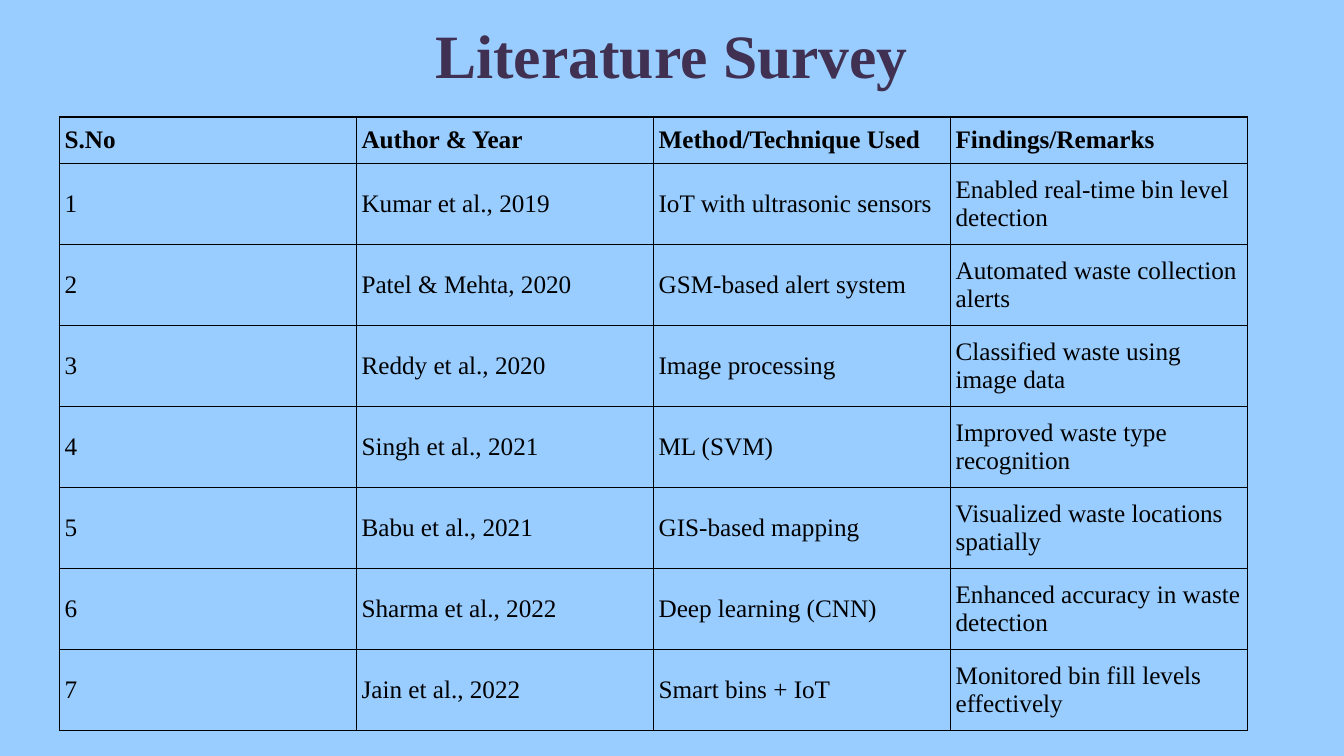
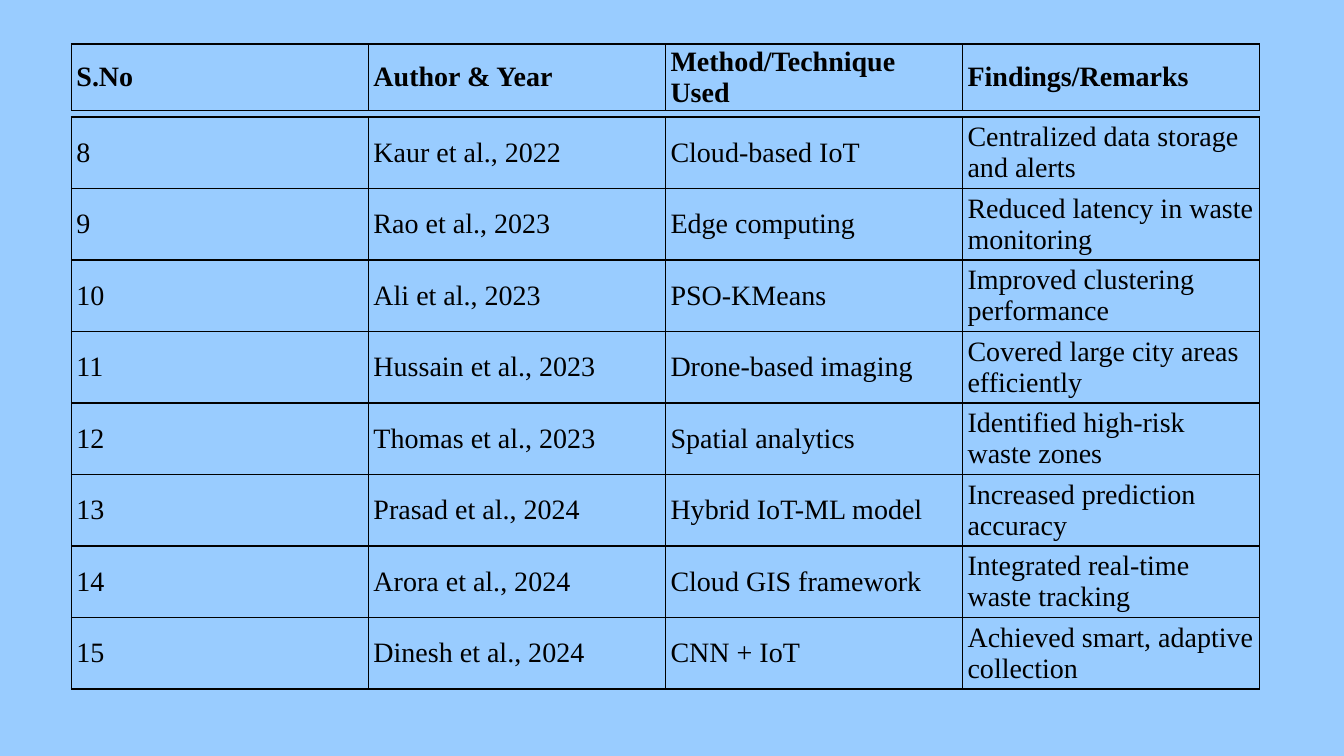
from lxml import etree
from pptx import Presentation
from pptx.dml.color import RGBColor
from pptx.enum import text
from pptx.oxml import ns
from pptx.util import Pt

COLOURS = {"sky": "99CCFF", "plum": "403152", "ink": "000000"}
FONT = "Times New Roman"
COLUMN_WIDTH = 212.2
HEADINGS = ["S.No", "Author & Year", "Method/Technique Used", "Findings/Remarks"]

EARLIER_STUDIES = [
    ["Kumar et al., 2019", "IoT with ultrasonic sensors", "Enabled real-time bin level detection"],
    ["Patel & Mehta, 2020", "GSM-based alert system", "Automated waste collection alerts"],
    ["Reddy et al., 2020", "Image processing", "Classified waste using image data"],
    ["Singh et al., 2021", "ML (SVM)", "Improved waste type recognition"],
    ["Babu et al., 2021", "GIS-based mapping", "Visualized waste locations spatially"],
    ["Sharma et al., 2022", "Deep learning (CNN)", "Enhanced accuracy in waste detection"],
    ["Jain et al., 2022", "Smart bins + IoT", "Monitored bin fill levels effectively"],
]
LATER_STUDIES = [
    ["Kaur et al., 2022", "Cloud-based IoT", "Centralized data storage and alerts"],
    ["Rao et al., 2023", "Edge computing", "Reduced latency in waste monitoring"],
    ["Ali et al., 2023", "PSO-KMeans", "Improved clustering performance"],
    ["Hussain et al., 2023", "Drone-based imaging", "Covered large city areas efficiently"],
    ["Thomas et al., 2023", "Spatial analytics", "Identified high-risk waste zones"],
    ["Prasad et al., 2024", "Hybrid IoT-ML model", "Increased prediction accuracy"],
    ["Arora et al., 2024", "Cloud GIS framework", "Integrated real-time waste tracking"],
    ["Dinesh et al., 2024", "CNN + IoT", "Achieved smart, adaptive collection"],
]


def style_font(font, size, colour, bold):
    font.name = FONT
    font.size = Pt(size)
    font.bold = bold
    font.color.rgb = RGBColor.from_string(COLOURS[colour])


def add_survey(slide, left, top, rows, heights, size):
    """Add a ruled table; a row that holds the headings is bold."""
    survey = slide.shapes.add_table(
        len(rows), len(HEADINGS), Pt(left), Pt(top),
        Pt(COLUMN_WIDTH * len(HEADINGS)), Pt(sum(heights))).table
    survey.first_row = survey.horz_banding = False
    for column in survey.columns:
        column.width = Pt(COLUMN_WIDTH)
    for row, height, entries in zip(survey.rows, heights, rows):
        row.height = Pt(height)
        for cell, entry in zip(row.cells, entries):
            cell.text_frame.text = entry
            style_font(cell.text_frame.paragraphs[0].runs[0].font,
                       size, "ink", entries is HEADINGS)
            cell.vertical_anchor = text.MSO_ANCHOR.MIDDLE
            cell.margin_left = cell.margin_right = Pt(3.6)
            cell.margin_top = cell.margin_bottom = Pt(1.5)
            cell.fill.solid()
            cell.fill.fore_color.rgb = RGBColor.from_string(COLOURS["sky"])
            # Borders come before the fill in the cell properties
            properties = cell._tc.get_or_add_tcPr()
            for position, side in enumerate(["a:lnL", "a:lnR", "a:lnT", "a:lnB"]):
                border = etree.Element(ns.qn(side), w=str(Pt(1)))
                ink = etree.SubElement(border, ns.qn("a:solidFill"))
                etree.SubElement(ink, ns.qn("a:srgbClr"), val=COLOURS["ink"])
                properties.insert(position, border)


# Shared page: size and background
prs = Presentation()
prs.slide_width, prs.slide_height = Pt(960), Pt(540)
page_fill = prs.slide_master.background.fill
page_fill.solid()
page_fill.fore_color.rgb = RGBColor.from_string(COLOURS["sky"])
title_only, blank = prs.slide_layouts[5], prs.slide_layouts[6]

# Number the studies through both slides
numbered = [[str(number), *study]
            for number, study in enumerate(EARLIER_STUDIES + LATER_STUDIES, 1)]
split = len(EARLIER_STUDIES)
earlier, later = numbered[:split], numbered[split:]

# Slide 1: title and earlier studies
slide = prs.slides.add_slide(title_only)
heading = slide.shapes.title
heading.left, heading.top, heading.width, heading.height = Pt(48), Pt(-6.5), Pt(864), Pt(90)
heading.text_frame.text = "Literature Survey"
heading.text_frame.vertical_anchor = text.MSO_ANCHOR.MIDDLE
title_line = heading.text_frame.paragraphs[0]
title_line.alignment = text.PP_ALIGN.CENTER
style_font(title_line.runs[0].font, 44, "plum", True)
add_survey(slide, 42.5, 83.5, [HEADINGS] + earlier, [33] + [57.9] * len(earlier), 18)

# Slide 2: later studies, with the headings in a strip of their own
slide = prs.slides.add_slide(blank)
add_survey(slide, 51, 83.5, later, [51.1] * len(later), 20)
add_survey(slide, 51, 31.5, [HEADINGS], [47.5], 20)

prs.save("out.pptx")
